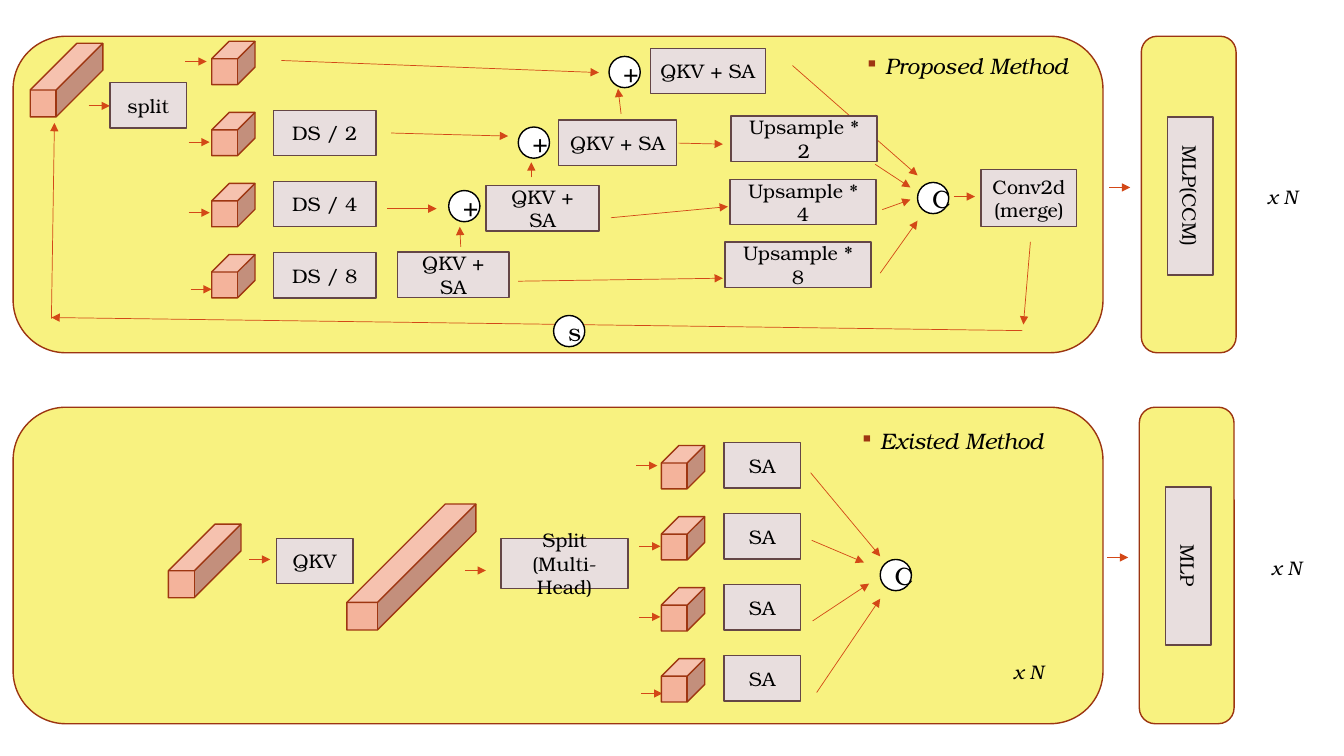
from dataclasses import dataclass

from lxml.etree import SubElement
from pptx import Presentation
from pptx.dml.color import RGBColor
from pptx.enum.shapes import MSO_CONNECTOR, MSO_SHAPE
from pptx.enum.text import MSO_ANCHOR, PP_ALIGN
from pptx.oxml.ns import qn
from pptx.util import Inches, Pt


@dataclass(frozen=True)
class Theme:
    # Each kind of part has a fill and a line colour
    panel: tuple = ("F8F280", "9C3511")
    feature: tuple = ("F4B39B", "9E3611")
    block: tuple = ("E8DEDE", "644646")
    operator: tuple = ("FFFFFF", "000000")
    arrow: str = "D34817"
    bullet: str = "9E3611"
    text: str = "000000"
    font: str = "TeX Gyre Bonum"
    label_size: int = 14
    heading_size: int = 16
    operator_size: int = 18


THEME = Theme()

prs = Presentation()
prs.slide_width, prs.slide_height = Inches(13.33), Inches(7.5)
slide = prs.slides.add_slide(prs.slide_layouts[6])


def write(paragraph, text, size, italic=False):
    run = paragraph.add_run()
    run.text = text
    run.font.name = THEME.font
    run.font.size = Pt(size)
    run.font.italic = italic
    run.font.color.rgb = RGBColor.from_string(THEME.text)


def add_part(preset, box, colours, label="", size=THEME.label_size):
    part = slide.shapes.add_shape(preset, *map(Inches, box))
    part.shadow.inherit = False
    part.fill.solid()
    part.fill.fore_color.rgb = RGBColor.from_string(colours[0])
    part.line.color.rgb = RGBColor.from_string(colours[1])
    part.line.width = Pt(1)
    if label:
        frame = part.text_frame
        frame.word_wrap = True
        frame.vertical_anchor = MSO_ANCHOR.MIDDLE
        frame.paragraphs[0].alignment = PP_ALIGN.CENTER
        write(frame.paragraphs[0], label, size)
    return part


# Method panels, each with its MLP stage
BLOCK_HEIGHT = 0.45
for top, mlp_left, mlp_top, mlp_label in (
    (0.36, 11.32, 1.72, "MLP(CCM)"),
    (4.04, 11.3, 5.39, "MLP"),
):
    add_part(MSO_SHAPE.ROUNDED_RECTANGLE, (0.13, top, 10.81, 3.14), THEME.panel)
    add_part(MSO_SHAPE.ROUNDED_RECTANGLE, (mlp_left, top, 0.94, 3.14), THEME.panel)
    mlp = add_part(MSO_SHAPE.RECTANGLE, (mlp_left - 0.3, mlp_top, 1.57, BLOCK_HEIGHT),
                   THEME.block, mlp_label)
    mlp.rotation = 90

# Arrows
arrows = [
    # Proposed: split, and scale branches into the sums
    (0.88, 1.05, 1.09, 1.05),
    (2.79, 0.6, 5.94, 0.72),
    (3.88, 1.32, 5.04, 1.35),
    (3.84, 2.07, 4.33, 2.07),
    # Proposed: from each attention block up to the next sum
    (4.57, 2.45, 4.56, 2.25),
    (5.27, 1.76, 5.27, 1.61),
    (6.16, 1.13, 6.13, 0.88),
    # Proposed: attention to upsampling
    (6.73, 1.42, 7.17, 1.43),
    (6.06, 2.16, 7.22, 2.05),
    (5.14, 2.79, 7.17, 2.76),
    # Proposed: concatenation and merge
    (7.86, 0.65, 9.1, 1.74),
    (8.68, 1.63, 9.03, 1.86),
    (8.75, 2.08, 9.03, 1.98),
    (8.73, 2.71, 9.1, 2.19),
    (9.46, 1.95, 9.67, 1.95),
    # Proposed: feedback loop, then the MLP
    (10.22, 2.4, 10.15, 3.22),
    (10.14, 3.28, 0.51, 3.15),
    (0.51, 3.16, 0.54, 1.22),
    (11, 1.86, 11.21, 1.86),
    # Existed: QKV, split, concatenation, MLP
    (2.47, 5.55, 2.68, 5.55),
    (4.61, 5.66, 4.82, 5.66),
    (8.04, 4.69, 8.73, 5.52),
    (8.05, 5.36, 8.57, 5.58),
    (8.06, 6.16, 8.62, 5.79),
    (8.1, 6.87, 8.73, 5.94),
    (10.98, 5.53, 11.19, 5.53),
]
# Both methods: short arrows into the four split features
for dx, dy in ((0, 0), (4.47, 4.01)):
    for x, y in ((1.84, 0.61), (1.87, 1.41), (1.87, 2.11), (1.89, 2.87)):
        arrows.append((x + dx, y + dy, x + dx + 0.21, y + dy))

for ends in arrows:
    arrow = slide.shapes.add_connector(MSO_CONNECTOR.STRAIGHT, *map(Inches, ends))
    arrow.line.color.rgb = RGBColor.from_string(THEME.arrow)
    arrow.line.width = Pt(0.5)
    SubElement(arrow.line._get_or_add_ln(), qn("a:tailEnd"), type="triangle")
    SubElement(arrow._element.spPr, qn("a:effectLst"))

# Feature cubes: whole inputs, then four split features per method
ROW_PITCH = 0.705
PROPOSED_TOP, EXISTED_TOP = 0.41, 4.42
features = [
    (0.3, 0.43, 0.72, 0.73, 0.643),
    (1.67, 5.2, 0.72, 0.73, 0.643),
    (3.44, 5, 1.28, 1.25, 0.781),
]
for left, first_top in ((2.1, PROPOSED_TOP), (6.56, EXISTED_TOP)):
    for row in range(4):
        features.append((left, first_top + row * ROW_PITCH, 0.43, 0.43, 0.404))
for *box, depth in features:
    feature = add_part(MSO_SHAPE.CUBE, box, THEME.feature)
    feature.adjustments[0] = depth

# Processing blocks
blocks = [
    ("split", 1.09, 0.82, 0.76, BLOCK_HEIGHT),
    ("QKV + SA", 6.45, 0.48, 1.14, BLOCK_HEIGHT),
    ("QKV + SA", 5.54, 1.19, 1.17, BLOCK_HEIGHT),
    ("QKV + SA", 4.82, 1.84, 1.12, BLOCK_HEIGHT),
    ("QKV + SA", 3.94, 2.5, 1.11, BLOCK_HEIGHT),
    ("Upsample * 2", 7.25, 1.15, 1.45, BLOCK_HEIGHT),
    ("Upsample * 4", 7.24, 1.78, 1.45, BLOCK_HEIGHT),
    ("Upsample * 8", 7.19, 2.4, 1.45, BLOCK_HEIGHT),
    ("Conv2d(merge)", 9.73, 1.68, 0.95, 0.57),
    ("QKV", 2.74, 5.34, 0.76, BLOCK_HEIGHT),
    ("Split (Multi-Head)", 4.97, 5.34, 1.26, 0.5),
]
for row in range(1, 4):
    blocks.append((f"DS / {2 ** row}", 2.71, PROPOSED_TOP - 0.02 + row * ROW_PITCH,
                   1.02, BLOCK_HEIGHT))
for row in range(4):
    blocks.append(("SA", 7.18, EXISTED_TOP - 0.03 + row * ROW_PITCH, 0.76, BLOCK_HEIGHT))
for label, *box in blocks:
    add_part(MSO_SHAPE.RECTANGLE, box, THEME.block, label)

# Operators: sum, concatenation, feedback
for symbol, left, top in (
    ("+", 6.04, 0.56), ("+", 5.14, 1.26), ("+", 4.45, 1.89),
    ("C", 9.1, 1.81), ("s", 5.49, 3.13), ("C", 8.73, 5.55),
):
    add_part(MSO_SHAPE.OVAL, (left, top, 0.31, 0.31), THEME.operator,
             symbol, THEME.operator_size)

# Bulleted method headings
for heading, left, top in (("Proposed Method", 8.48, 0.5), ("Existed Method", 8.43, 4.22)):
    frame = slide.shapes.add_textbox(*map(Inches, (left, top, 2.25, 0.56))).text_frame
    frame.word_wrap = True
    paragraph = frame.paragraphs[0]
    paragraph.line_spacing = 0.9
    paragraph.space_before = Pt(12)
    write(paragraph, heading, THEME.heading_size, italic=True)
    props = paragraph._p.get_or_add_pPr()
    props.set("marL", str(Inches(0.2)))
    props.set("indent", str(Inches(-0.2)))
    SubElement(SubElement(props, qn("a:buClr")), qn("a:srgbClr"), val=THEME.bullet)
    SubElement(props, qn("a:buSzPct"), val="85000")
    SubElement(props, qn("a:buChar"), char="▪")

# Repeat counts
for left, top in ((12.17, 1.81), (12.21, 5.49), (9.65, 6.52)):
    frame = slide.shapes.add_textbox(*map(Inches, (left, top, 0.92, 0.43))).text_frame
    frame.word_wrap = True
    paragraph = frame.paragraphs[0]
    paragraph.level = 1
    paragraph.line_spacing = 0.9
    paragraph.space_before, paragraph.space_after = Pt(4), Pt(2)
    write(paragraph, "x N", THEME.label_size, italic=True)
    props = paragraph._p.get_or_add_pPr()
    props.set("marL", str(Inches(0.3)))
    props.set("indent", "0")

prs.save("out.pptx")
